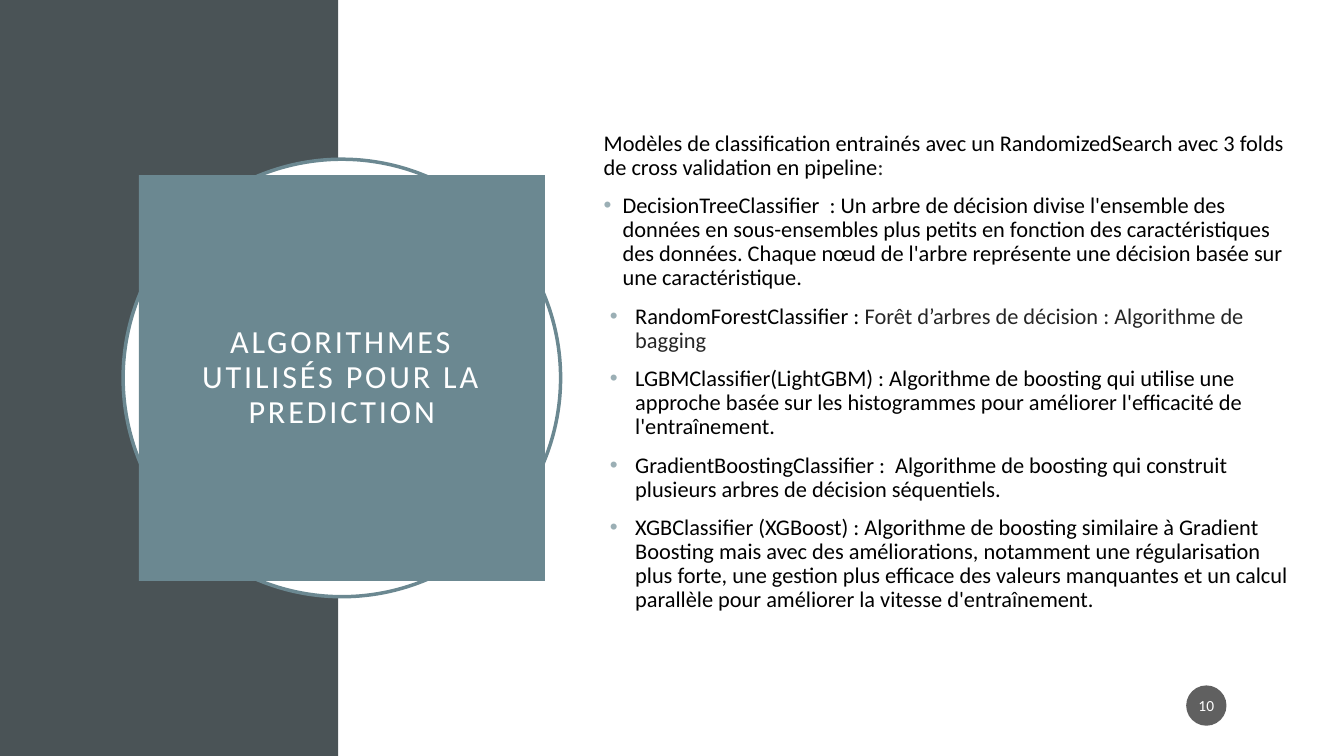
from lxml.etree import SubElement
from pptx import Presentation
from pptx.dml.color import RGBColor
from pptx.enum.shapes import MSO_SHAPE
from pptx.enum.text import MSO_ANCHOR, MSO_AUTO_SIZE, PP_ALIGN
from pptx.oxml.ns import qn
from pptx.util import Pt

# Content
TITLE = "ALGORITHMES UTILISÉS POUR LA PREDICTION"
PAGE_NUMBER = "10"
BLACK = RGBColor(0x00, 0x00, 0x00)
DARK = RGBColor(0x26, 0x26, 0x26)
# Each paragraph: text indent, bullet hang, runs of (text, colour)
PARAGRAPHS = [
    (0, 0, [("Modèles de classification entrainés avec un RandomizedSearch avec 3 folds "
             "de cross validation en pipeline", BLACK), (":", DARK)]),
    (13.5, 13.5, [("DecisionTreeClassifier  : Un arbre de décision divise l'ensemble des "
                   "données en sous-ensembles plus petits en fonction des caractéristiques "
                   "des données. Chaque nœud de l'arbre représente une décision basée sur "
                   "une caractéristique.", BLACK)]),
    (22.5, 18, [("RandomForestClassifier : ", BLACK),
                ("Forêt d’arbres de décision : Algorithme de bagging", DARK)]),
    (22.5, 18, [("LGBMClassifier(LightGBM) : Algorithme de boosting qui utilise une "
                 "approche basée sur les histogrammes pour améliorer l'efficacité de "
                 "l'entraînement.", BLACK)]),
    (22.5, 18, [("GradientBoostingClassifier :  Algorithme de boosting qui construit "
                 "plusieurs arbres de décision séquentiels.", BLACK)]),
    (22.5, 18, [("XGBClassifier (XGBoost) : Algorithme de boosting similaire à Gradient "
                 "Boosting mais avec des améliorations, notamment une régularisation "
                 "plus forte, une gestion plus efficace des valeurs manquantes et un calcul "
                 "parallèle pour améliorer la vitesse d'entraînement.", BLACK)]),
]

# Style
FONT = "Calibri"
WHITE = RGBColor(0xFF, 0xFF, 0xFF)
SLATE = RGBColor(0x4A, 0x53, 0x56)
TEAL = RGBColor(0x6B, 0x88, 0x91)
BADGE = RGBColor(0x1D, 0x1D, 0x1D)
BULLET = "9BAFB5"

# Layout, in points
WIDTH, HEIGHT = 960, 540
BAND_WIDTH = 241.7
CENTER_X, CENTER_Y = 244.2, 270
RING_SIZE, TITLE_SIZE = 312.5, 290


def centered(size):
    return CENTER_X - size / 2, CENTER_Y - size / 2, size, size


def place(shape, left, top, width, height):
    shape.left, shape.top = Pt(left), Pt(top)
    shape.width, shape.height = Pt(width), Pt(height)


def add_filled(kind, box, color):
    shape = slide.shapes.add_shape(kind, *(Pt(value) for value in box))
    shape.shadow.inherit = False
    shape.fill.solid()
    shape.fill.fore_color.rgb = color
    shape.line.fill.background()
    return shape


def set_frame(shape, side, edge):
    frame = shape.text_frame
    frame.word_wrap = True
    frame.auto_size = MSO_AUTO_SIZE.NONE
    frame.vertical_anchor = MSO_ANCHOR.MIDDLE
    frame.margin_left = frame.margin_right = Pt(side)
    frame.margin_top = frame.margin_bottom = Pt(edge)
    return frame


def set_bullet(paragraph, indent, hang):
    properties = paragraph._p.get_or_add_pPr()
    properties.set("marL", str(Pt(indent)))
    properties.set("indent", str(-Pt(hang)))
    if not hang:
        SubElement(properties, qn("a:buNone"))
        return
    color = SubElement(properties, qn("a:buClr"))
    SubElement(color, qn("a:srgbClr"), val=BULLET)
    SubElement(properties, qn("a:buFont"), typeface="Arial")
    SubElement(properties, qn("a:buChar"), char="•")


def set_font(font, size, color=None):
    font.name = FONT
    font.size = Pt(size)
    if color is not None:
        font.color.rgb = color


presentation = Presentation()
presentation.slide_width, presentation.slide_height = Pt(WIDTH), Pt(HEIGHT)
slide = presentation.slides.add_slide(presentation.slide_layouts[1])
title, body = slide.shapes.title, slide.placeholders[1]

# Background panels and ring
add_filled(MSO_SHAPE.RECTANGLE, (0, 0, BAND_WIDTH, HEIGHT), SLATE)
add_filled(MSO_SHAPE.RECTANGLE, (BAND_WIDTH, 0, WIDTH - BAND_WIDTH, HEIGHT), WHITE)
ring = add_filled(MSO_SHAPE.OVAL, centered(RING_SIZE), WHITE)
ring.line.color.rgb = TEAL
ring.line.width = Pt(2.5)

# Title and body go in front of the panels
ring.element.addnext(title.element)
title.element.addnext(body.element)

# Title
place(title, *centered(TITLE_SIZE))
title.fill.solid()
title.fill.fore_color.rgb = TEAL
paragraph = set_frame(title, 42, 14.4).paragraphs[0]
run = paragraph.add_run()
run.text = TITLE
run.font._element.set("spc", "200")
paragraph.alignment = PP_ALIGN.CENTER
paragraph.line_spacing = 0.9
set_font(paragraph.font, 23, WHITE)

# Body list
place(body, 424, 68.4, 512.6, 395)
frame = set_frame(body, 7.2, 3.6)
for index, (indent, hang, runs) in enumerate(PARAGRAPHS):
    paragraph = frame.add_paragraph() if index else frame.paragraphs[0]
    set_bullet(paragraph, indent, hang)
    paragraph.line_spacing = 0.9
    paragraph.space_before = Pt(10 if index else 0)
    set_font(paragraph.font, 16)
    for text, color in runs:
        run = paragraph.add_run()
        run.text = text
        run.font.color.rgb = color

# Page number badge
badge = add_filled(MSO_SHAPE.OVAL, (847.3, 489.6, 28.8, 28.8), BADGE)
badge_color = badge.element.spPr.find(qn("a:solidFill"))[0]
SubElement(badge_color, qn("a:alpha"), val="70000")
paragraph = set_frame(badge, 1.4, 3.6).paragraphs[0]
paragraph.text = PAGE_NUMBER
paragraph.alignment = PP_ALIGN.CENTER
set_font(paragraph.font, 11, WHITE)

presentation.save("out.pptx")
